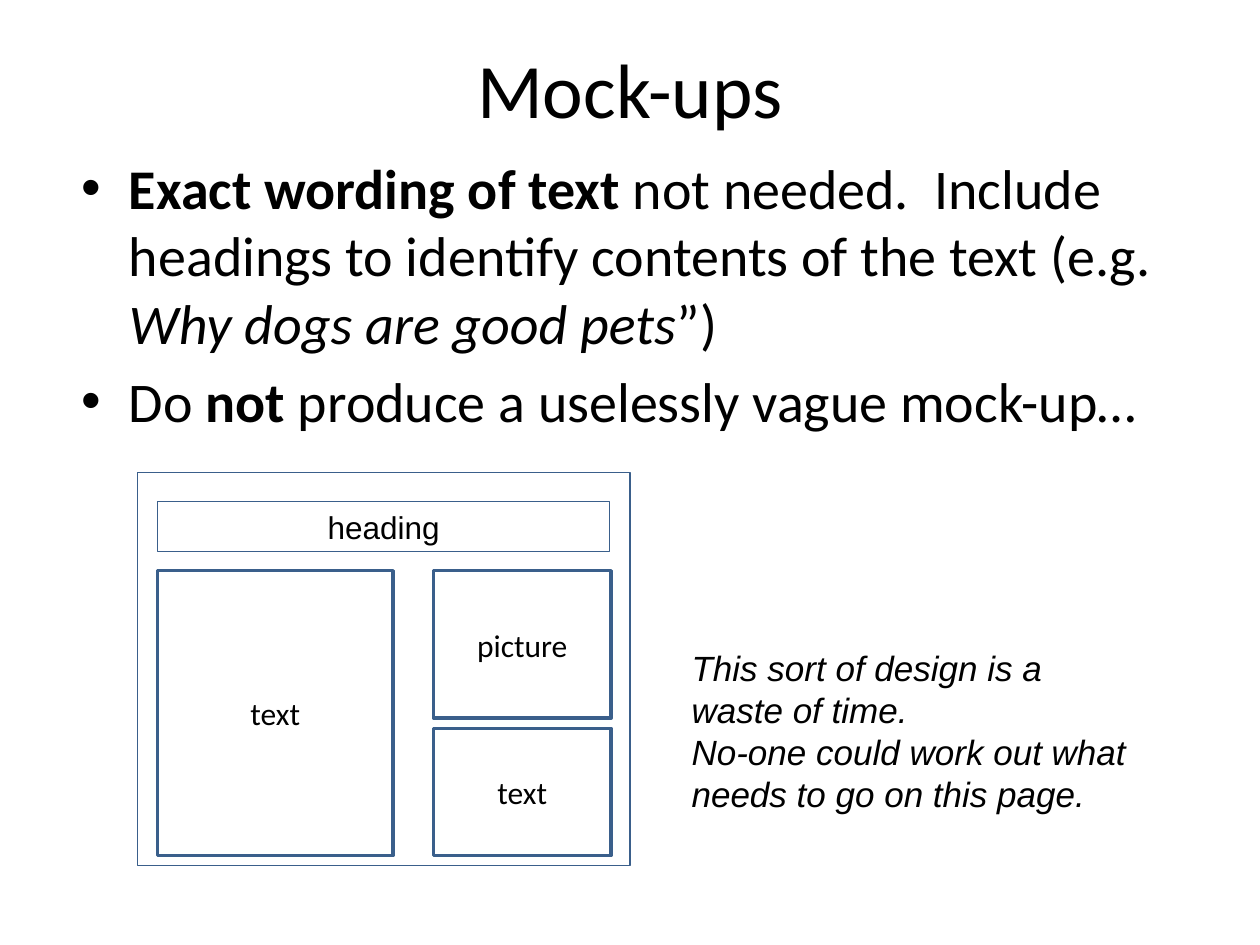
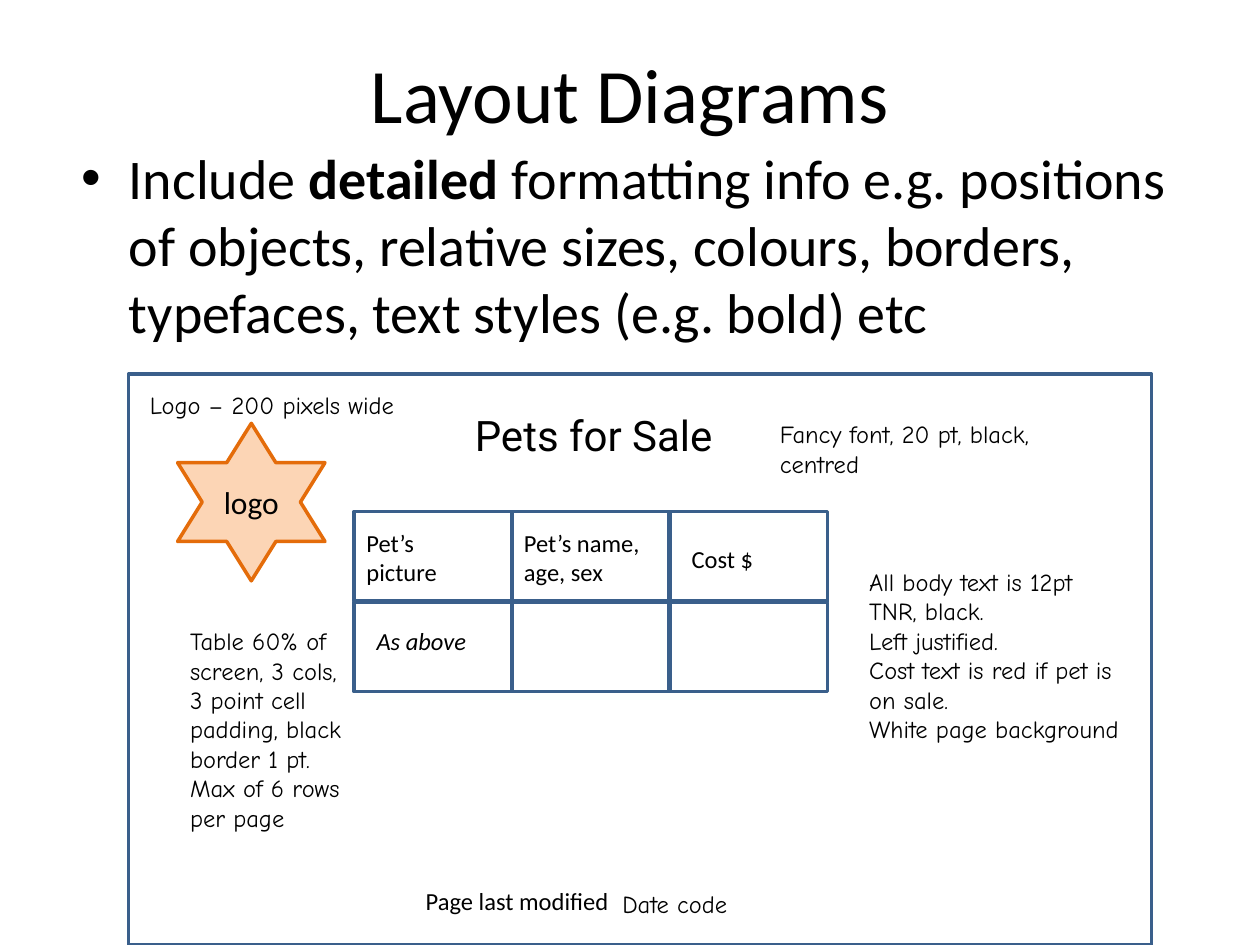
"""Build two slides about web page mock-ups and layout diagrams."""
from dataclasses import dataclass
from itertools import product
from typing import Optional

from lxml.etree import SubElement
from pptx import Presentation
from pptx.dml.color import RGBColor
from pptx.enum.shapes import MSO_SHAPE as Shp
from pptx.enum.text import MSO_ANCHOR as Anchor, MSO_AUTO_SIZE as AutoSize, PP_ALIGN as Align
from pptx.oxml.ns import qn
from pptx.util import Inches, Pt

BLACK = RGBColor(0, 0, 0)
BLUE = RGBColor(0x3A, 0x5F, 0x8B)
PEACH = RGBColor(0xFC, 0xD5, 0xB5)
ORANGE = RGBColor(0xE4, 0x6C, 0x0A)
BODY = "Calibri"
PLAIN = "Arial"
NOTE = "Comic Neue"
FANCY = "Roboto"
INDENT = Inches(3 / 8)


@dataclass(frozen=True)
class Box:
    """An outlined shape with an optional centred label."""
    left: float
    top: float
    width: float
    height: float
    label: str = ""
    font: str = BODY
    line_pt: float = 2
    line: RGBColor = BLUE
    fill: Optional[RGBColor] = None
    shape: Shp = Shp.RECTANGLE
    anchor: Anchor = Anchor.MIDDLE


@dataclass(frozen=True)
class Note:
    """A free-standing text, one paragraph per line."""
    left: float
    top: float
    width: float
    height: float
    text: str
    font: str = NOTE
    size: float = 14
    italic: bool = False


MOCKUP_BULLETS = [
    [("Exact wording of text ", "b"),
     ("not needed.  Include headings to identify contents of the text (e.g. ", ""),
     ("Why dogs are good pets", "i"), ("”)", "")],
    [("Do ", ""), ("not", "b"), (" produce a uselessly vague mock-up…", "")],
]
MOCKUP_BOXES = [
    Box(1.09, 3.75, 3.91, 3.12, line_pt=0),
    Box(1.25, 3.98, 3.59, 0.4, "heading", PLAIN, 0, anchor=Anchor.TOP),
    Box(3.44, 4.53, 1.41, 1.17, "picture"),
    Box(1.25, 4.53, 1.87, 2.26, "text"),
    Box(3.44, 5.78, 1.41, 1.01, "text"),
]
MOCKUP_NOTES = [
    Note(5.39, 5.08, 3.75, 1.43,
         "This sort of design is a waste of time.\n"
         "No-one could work out what needs to go on this page.", PLAIN, 20, True),
]

LAYOUT_BULLETS = [
    [("Include ", ""), ("detailed ", "b"),
     ("formatting info e.g. positions of objects, relative sizes, colours, borders, "
      "typefaces, text styles (e.g. bold) etc", "")],
]
PET_GRID = [Box(2.81 + 1.25 * col, 4.06 + 0.72 * row, 1.26, 0.71)
            for row, col in product(range(2), range(3))]
LAYOUT_BOXES = [
    Box(1.02, 2.97, 8.12, 4.53),
    *PET_GRID,
    Box(1.41, 3.36, 1.17, 1.25, "logo", line=ORANGE, fill=PEACH, shape=Shp.STAR_6_POINT),
]
LAYOUT_NOTES = [
    Note(3.67, 3.2, 2.73, 0.5, "Pets for Sale", FANCY, 24),
    Note(4.06, 4.14, 1.17, 0.56, "Pet’s name, age, sex", BODY),
    Note(2.81, 4.14, 1.17, 0.56, "Pet’s picture", BODY),
    Note(5.39, 4.27, 1.17, 0.33, "Cost $", BODY),
    Note(6.8, 4.45, 2.19, 1.5,
         "All body text is 12pt TNR, black.\nLeft justified.\n"
         "Cost text is red if pet is on sale.\nWhite page background"),
    Note(6.09, 3.28, 2.19, 0.56, "Fancy font, 20 pt, black, centred"),
    Note(1.41, 4.92, 1.41, 1.96,
         "Table 60% of screen, 3 cols, 3 point cell padding, black border 1 pt.\n"
         "Max of 6 rows per page"),
    Note(4.84, 7.01, 1.41, 0.33, "Date code"),
    Note(3.28, 6.98, 2.19, 0.33, "Page last modified", BODY),
    Note(2.89, 4.92, 1.17, 0.33, "As above", BODY, italic=True),
    Note(1.09, 3.05, 2.19, 0.33, "Logo – 200 pixels wide"),
]


def format_text(tf, font: str, size: float, italic: Optional[bool] = None,
                align: Align = Align.LEFT) -> None:
    """Apply one style to every run of a text frame."""
    for p in tf.paragraphs:
        p.alignment = align
        for r in p.runs:
            r.font.name, r.font.size = font, Pt(size)
            r.font.color.rgb = BLACK
            if italic is not None:
                r.font.italic = italic


def add_text_frame(slide, left: float, top: float, width: float, height: float):
    """Add a wrapping text box and return its text frame."""
    sp = slide.shapes.add_textbox(Inches(left), Inches(top), Inches(width), Inches(height))
    sp.text_frame.word_wrap = True
    return sp.text_frame


def add_titled_slide(prs, title: str, height: float):
    """Add a title-only slide with a centred title."""
    slide = prs.slides.add_slide(prs.slide_layouts[5])
    sp = slide.shapes.title
    sp.left, sp.top, sp.width, sp.height = map(Inches, (0.5, 0.3, 9, height))
    tf = sp.text_frame
    tf.text = title
    tf.auto_size = AutoSize.NONE
    tf.vertical_anchor = Anchor.MIDDLE
    format_text(tf, BODY, 44, align=Align.CENTER)
    return slide


def add_bullets(slide, top: float, height: float, bullets: list) -> None:
    """Add bulleted paragraphs whose runs may be bold or italic."""
    tf = add_text_frame(slide, 0.55, top, 9, height)
    for i, runs in enumerate(bullets):
        p = tf.add_paragraph() if i else tf.paragraphs[0]
        p.space_before = Pt(6.4)
        for text, style in runs:
            r = p.add_run()
            r.text = text
            r.font.bold, r.font.italic = style == "b", style == "i"
        pPr = p._p.get_or_add_pPr()
        pPr.set("marL", str(INDENT))
        pPr.set("indent", str(-INDENT))
        SubElement(pPr, qn("a:buFont"), typeface=PLAIN)
        SubElement(pPr, qn("a:buChar"), char="•")
    format_text(tf, BODY, 32)


def add_box(slide, box: Box) -> None:
    """Draw an outlined shape with its label."""
    sp = slide.shapes.add_shape(box.shape, Inches(box.left), Inches(box.top),
                                Inches(box.width), Inches(box.height))
    sp.shadow.inherit = False
    if box.fill is None:
        sp.fill.background()
    else:
        sp.fill.solid()
        sp.fill.fore_color.rgb = box.fill
    sp.line.color.rgb = box.line
    sp.line.width = Pt(box.line_pt)
    if box.label:
        tf = sp.text_frame
        tf.text = box.label
        tf.vertical_anchor = box.anchor
        format_text(tf, box.font, 18, align=Align.CENTER)


def add_note(slide, note: Note) -> None:
    """Write a free-standing text."""
    tf = add_text_frame(slide, note.left, note.top, note.width, note.height)
    tf.text = note.text
    format_text(tf, note.font, note.size, note.italic)


def add_contents(slide, boxes: list, notes: list) -> None:
    """Draw the boxes, then the notes over them."""
    for box in boxes:
        add_box(slide, box)
    for note in notes:
        add_note(slide, note)


def main() -> None:
    """Build and save the presentation."""
    prs = Presentation()
    prs.slide_width, prs.slide_height = Inches(10), Inches(7.5)

    slide = add_titled_slide(prs, "Mock-ups", 0.79)
    add_bullets(slide, 1.17, 2.42, MOCKUP_BULLETS)
    add_contents(slide, MOCKUP_BOXES, MOCKUP_NOTES)

    slide = add_titled_slide(prs, "Layout Diagrams", 0.87)
    add_bullets(slide, 1.09, 1.69, LAYOUT_BULLETS)
    add_contents(slide, LAYOUT_BOXES, LAYOUT_NOTES)

    prs.save("out.pptx")


if __name__ == "__main__":
    main()
